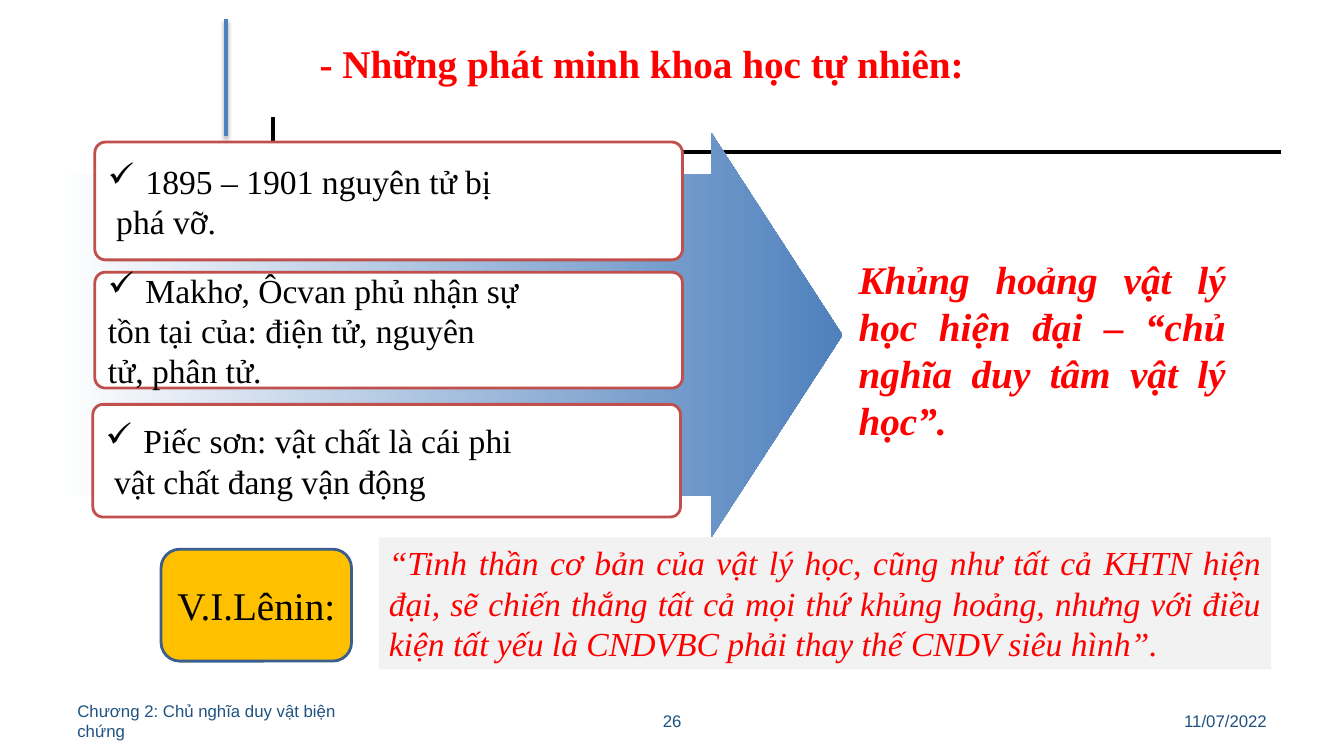
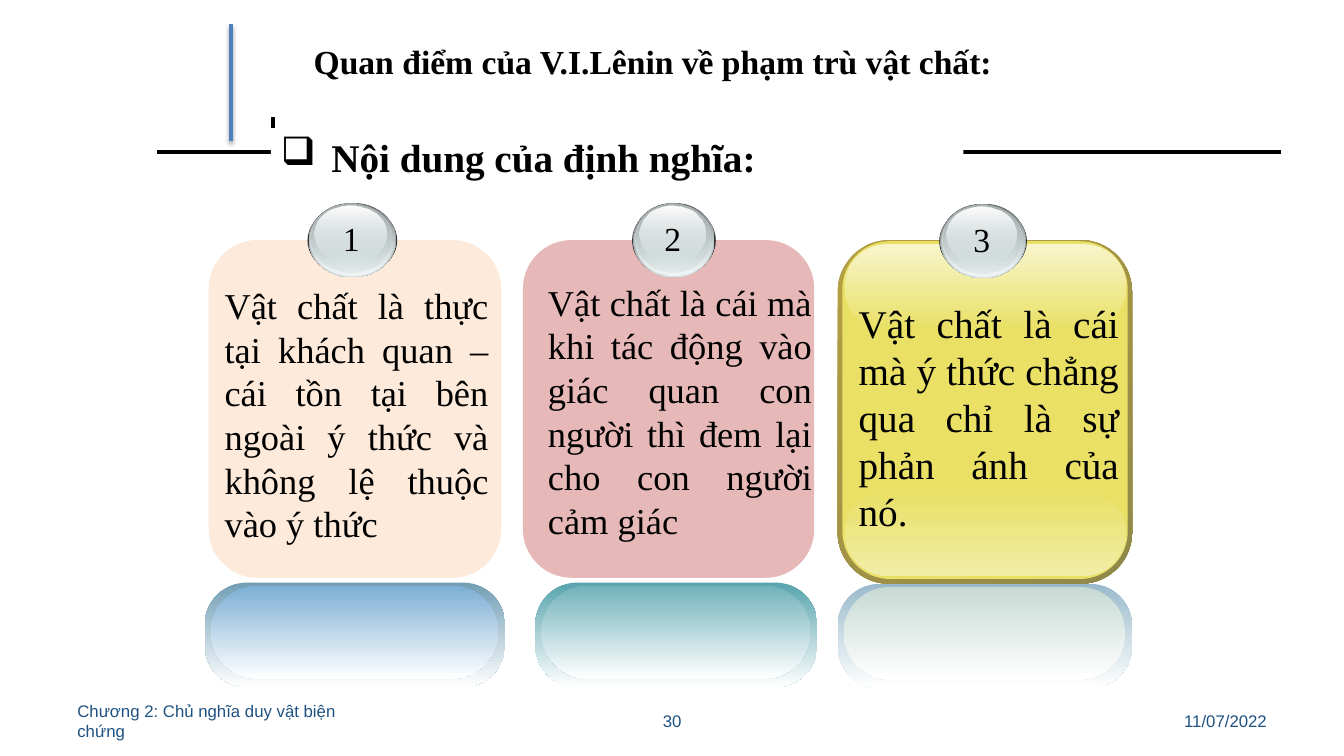
from dataclasses import dataclass
from typing import Any, Optional

from lxml.etree import SubElement
from pptx import Presentation
from pptx.dml.color import RGBColor
from pptx.enum.shapes import MSO_CONNECTOR, MSO_SHAPE
from pptx.enum.text import MSO_ANCHOR, MSO_AUTO_SIZE, PP_ALIGN
from pptx.oxml.ns import qn
from pptx.util import Cm, Pt

BLACK = RGBColor(0x00, 0x00, 0x00)
WHITE = RGBColor(0xFF, 0xFF, 0xFF)
RED = RGBColor(0xFF, 0x00, 0x00)
BLUE = RGBColor(0x4F, 0x81, 0xBD)
NAVY = RGBColor(0x3A, 0x5F, 0x8C)
FOOTER = RGBColor(0x1F, 0x52, 0x81)
BRICK = RGBColor(0xC0, 0x50, 0x4D)
AMBER = RGBColor(0xFF, 0xC0, 0x00)
LIGHT = RGBColor(0xF2, 0xF2, 0xF2)
PEACH = RGBColor(0xFD, 0xEA, 0xDA)
ROSE = RGBColor(0xE6, 0xB9, 0xB8)
YELLOW = RGBColor(0xE9, 0xE0, 0x65)
PALE_YELLOW = RGBColor(0xF2, 0xED, 0xA6)
CREAM = RGBColor(0xF8, 0xF5, 0xCC)
GOLD = RGBColor(0xB5, 0x9F, 0x43)
OLIVE = RGBColor(0x8F, 0x88, 0x49)
CHARCOAL = RGBColor(0x33, 0x33, 0x33)
STEEL = RGBColor(0x63, 0x68, 0x69)
SILVER = RGBColor(0xAA, 0xB2, 0xB3)
MIST = RGBColor(0xD6, 0xE1, 0xE2)
FROST = RGBColor(0xF1, 0xF5, 0xF5)
SERIF = "Times New Roman"
ROUND = MSO_SHAPE.ROUNDED_RECTANGLE


@dataclass(frozen=True)
class Box:
    x: float
    y: float
    w: float
    h: float

    def lengths(self) -> tuple:
        return Cm(self.x), Cm(self.y), Cm(self.w), Cm(self.h)


@dataclass(frozen=True)
class Gradient:
    start: RGBColor
    end: RGBColor
    angle: int = 90
    start_alpha: int = 100
    end_alpha: int = 100


@dataclass(frozen=True)
class Style:
    size: float
    color: RGBColor = BLACK
    bold: bool = False
    italic: bool = False
    align: PP_ALIGN = PP_ALIGN.JUSTIFY
    anchor: MSO_ANCHOR = MSO_ANCHOR.TOP
    font: str = SERIF
    bullet: str = ""
    indent: float = 0


@dataclass(frozen=True)
class OrbLayer:
    dx: float
    dy: float
    dw: float
    h: float
    fill: Any


@dataclass(frozen=True)
class Card:
    number: str
    text: str
    text_box: Box
    size: float
    body: Box
    fill: Any
    corner: float
    orb: Box
    shade: Box
    shade_outer: RGBColor
    shade_inner: RGBColor


ORB_LAYERS = [
    OrbLayer(0, 0.05, 0, 1.8, CHARCOAL),
    OrbLayer(0.03, 0, 0.06, 1.88, Gradient(STEEL, MIST)),
    OrbLayer(0.05, 0, 0.12, 1.83, Gradient(MIST, FROST, start_alpha=0)),
    OrbLayer(0.08, 0.03, 0.22, 1.73, Gradient(SILVER, MIST, end_alpha=48)),
    OrbLayer(0.18, 0.08, 0.45, 1.4, Gradient(WHITE, MIST, end_alpha=38)),
]

CARDS = [
    Card("1", "Vật chất là thực tại khách quan – cái tồn tại bên ngoài ý thức và "
         "không lệ thuộc vào ý thức", Box(5.41, 7.01, 7.16, 6.93), 26,
         Box(5.26, 6.05, 7.37, 8.51), PEACH, 0.167, Box(7.75, 5.11, 2.26, 1.88),
         Box(5.16, 14.68, 7.57, 2.64),
         RGBColor(0x72, 0x9E, 0xB4), RGBColor(0x7D, 0xAF, 0xD4)),
    Card("2", "Vật chất là cái mà khi tác động vào giác quan con người thì đem lại "
         "cho con người cảm giác", Box(13.56, 6.93, 7.16, 6.93), 26,
         Box(13.18, 6.05, 7.34, 8.51), ROSE, 0.167, Box(15.93, 5.11, 2.11, 1.88),
         Box(13.49, 14.68, 7.11, 2.64),
         RGBColor(0x58, 0xA4, 0xAE), RGBColor(0x72, 0xB2, 0xBB)),
    Card("3", "Vật chất là cái mà ý thức chẳng qua chỉ là sự phản ánh của nó.",
         Box(21.39, 7.42, 7.06, 6.25), 28, Box(21.11, 6.05, 7.42, 8.66),
         Gradient(GOLD, OLIVE, 45), 0.175, Box(23.67, 5.13, 2.21, 1.88),
         Box(21.11, 14.71, 7.42, 2.64),
         RGBColor(0x99, 0xBA, 0xCC), RGBColor(0xC8, 0xDA, 0xD4)),
]

DISCOVERIES = [
    (Box(2.39, 3.58, 14.81, 2.97), ["1895 – 1901 nguyên tử bị", " phá vỡ."]),
    (Box(2.39, 6.86, 14.81, 2.92),
     ["Makhơ, Ôcvan phủ nhận sự", "tồn tại của: điện tử, nguyên", "tử, phân tử."]),
    (Box(2.34, 10.19, 14.81, 2.84),
     ["Piếc sơn: vật chất là cái phi", " vật chất đang vận động"]),
]


def add_bullet(p: Any, char: str, indent: float) -> None:
    """Give a paragraph a hanging bullet."""
    pPr = p._p.get_or_add_pPr()
    pPr.set("marL", str(Cm(indent)))
    pPr.set("indent", str(-Cm(indent)))
    SubElement(pPr, qn("a:buChar")).set("char", char)


def write(sp: Any, lines: list[str], style: Style) -> None:
    """Fill a shape with styled paragraphs, the first one bulleted if asked."""
    tf = sp.text_frame
    tf.word_wrap = True
    tf.auto_size = MSO_AUTO_SIZE.NONE
    tf.vertical_anchor = style.anchor
    tf.text = "\n".join(lines)
    if style.bullet:
        add_bullet(tf.paragraphs[0], style.bullet, style.indent)
    for p in tf.paragraphs:
        p.alignment = style.align
        for r in p.runs:
            r.font.name = style.font
            r.font.size = Pt(style.size)
            r.font.bold = style.bold
            r.font.italic = style.italic
            r.font.color.rgb = style.color


def paint(sp: Any, fill: Any) -> None:
    """Apply a solid colour or a two-stop gradient."""
    if not isinstance(fill, Gradient):
        sp.fill.solid()
        sp.fill.fore_color.rgb = fill
        return
    sp.fill.gradient()
    sp.fill.gradient_angle = -fill.angle % 360
    for stop, color in zip(sp.fill.gradient_stops, (fill.start, fill.end)):
        stop.color.rgb = color
    colors = sp._element.spPr.iter(qn("a:srgbClr"))
    for clr, alpha in zip(list(colors), (fill.start_alpha, fill.end_alpha)):
        if alpha < 100:
            SubElement(clr, qn("a:alpha")).set("val", str(alpha * 1000))


def add_shape(s: Any, kind: MSO_SHAPE, box: Box, fill: Any,
              adj: tuple = (), line: Optional[RGBColor] = None) -> Any:
    """Draw a preset shape without shadow."""
    sp = s.shapes.add_shape(kind, *box.lengths())
    sp.shadow.inherit = False
    for i, value in enumerate(adj):
        sp.adjustments[i] = value
    paint(sp, fill)
    if line is None:
        sp.line.fill.background()
    else:
        sp.line.color.rgb = line
        sp.line.width = Pt(2)
    return sp


def add_text(s: Any, box: Box, text: str, style: Style) -> None:
    """Add a text box with one paragraph."""
    write(s.shapes.add_textbox(*box.lengths()), [text], style)


def add_line(s: Any, x1: float, y1: float, x2: float, y2: float,
             color: RGBColor, shadow: bool = False) -> None:
    """Draw a straight line, with a soft shadow if asked."""
    cn = s.shapes.add_connector(MSO_CONNECTOR.STRAIGHT, Cm(x1), Cm(y1), Cm(x2), Cm(y2))
    cn.line.color.rgb = color
    cn.line.width = Pt(3)
    effects = SubElement(cn._element.spPr, qn("a:effectLst"))
    if shadow:
        outer = SubElement(effects, qn("a:outerShdw"), blurRad=str(Pt(3.1)),
                           dist=str(Pt(1.8)), dir="5400000", rotWithShape="0")
        clr = SubElement(outer, qn("a:srgbClr"), val="000000")
        SubElement(clr, qn("a:alpha"), val="35000")


def start_slide(prs: Any, title: str, box: Box, style: Style, number: str,
                accent_x: float, accent_y: float) -> Any:
    """Add a slide with its title, rules and footer."""
    s = prs.slides.add_slide(prs.slide_layouts[5])
    sp = s.shapes.title
    sp.left, sp.top, sp.width, sp.height = box.lengths()
    write(sp, [title], style)
    add_line(s, 3.96, 3.84, 32.28, 3.84, BLACK)
    add_line(s, 6.88, 2.95, 6.88, 4.29, BLACK)
    add_line(s, accent_x, accent_y, accent_x, accent_y + 2.95, BLUE, shadow=True)
    for x, w, text, align in (
        (1.7, 7.9, "Chương 2: Chủ nghĩa duy vật biện chứng", PP_ALIGN.LEFT),
        (11.58, 10.72, number, PP_ALIGN.CENTER),
        (24.28, 7.9, "11/07/2022", PP_ALIGN.RIGHT),
    ):
        add_text(s, Box(x, 17.65, w, 1.02), text,
                 Style(12, FOOTER, align=align, anchor=MSO_ANCHOR.MIDDLE, font="Arial"))
    return s


def add_card(s: Any, card: Card) -> None:
    """Draw a numbered card with its reflection."""
    b, o, m = card.body, card.orb, card.shade
    add_shape(s, ROUND, b, card.fill, (card.corner,))
    if isinstance(card.fill, Gradient):
        add_shape(s, ROUND, Box(b.x + 0.12, b.y + 0.03, 7.19, 8.51), YELLOW, (0.167,))
        for dy, gloss in ((6.3, Gradient(YELLOW, PALE_YELLOW)),
                          (0.1, Gradient(CREAM, YELLOW))):
            add_shape(s, ROUND, Box(b.x + 0.18, b.y + dy, 7.09, 2.16), gloss, (0.5,))
    add_shape(s, ROUND, m, Gradient(card.shade_outer, WHITE), (0.404,))
    add_shape(s, ROUND, Box(m.x + 0.15, m.y + 0.08, m.w - 0.32, 2.34),
              Gradient(card.shade_inner, WHITE), (0.5,))
    for k in ORB_LAYERS:
        add_shape(s, MSO_SHAPE.OVAL, Box(o.x + k.dx, o.y + k.dy, o.w - k.dw, k.h), k.fill)
    add_text(s, Box(o.x - 0.03, o.y + 0.25, o.w, 1.27), card.number,
             Style(24, align=PP_ALIGN.CENTER))
    add_text(s, card.text_box, card.text, Style(card.size))


def build_discoveries(prs: Any) -> None:
    """Build the slide on discoveries in natural science."""
    s = start_slide(prs, "- Những phát minh khoa học tự nhiên:", Box(7.8, 0.86, 22, 1.45),
                    Style(28, RED, bold=True), "26", 5.69, 0.48)
    add_shape(s, MSO_SHAPE.RIGHT_ARROW, Box(1.37, 3.35, 19.86, 10.19),
              Gradient(WHITE, BLUE, 0), (0.793, 0.324))
    for box, lines in DISCOVERIES:
        sp = add_shape(s, ROUND, box, WHITE, (0.091,), BRICK)
        write(sp, lines, Style(24, anchor=MSO_ANCHOR.MIDDLE, bullet="✓", indent=0.95))
    add_text(s, Box(21.39, 6.3, 9.75, 4.11),
             "Khủng hoảng vật lý học hiện đại – “chủ nghĩa duy tâm vật lý học”.",
             Style(28, RED, bold=True, italic=True))
    quote = add_shape(s, MSO_SHAPE.RECTANGLE, Box(9.55, 13.54, 22.48, 3.33), LIGHT)
    write(quote, ["“Tinh thần cơ bản của vật lý học, cũng như tất cả KHTN hiện đại, sẽ "
                  "chiến thắng tất cả mọi thứ khủng hoảng, nhưng với điều kiện tất yếu "
                  "là CNDVBC phải thay thế CNDV siêu hình”."], Style(24, RED, italic=True))
    author = add_shape(s, ROUND, Box(4.06, 13.84, 4.8, 2.82), AMBER, line=NAVY)
    write(author, ["V.I.Lênin:"],
          Style(28, align=PP_ALIGN.CENTER, anchor=MSO_ANCHOR.MIDDLE))


def build_definition(prs: Any) -> None:
    """Build the slide on the definition of matter."""
    s = start_slide(prs, "Quan điểm của V.I.Lênin về phạm trù vật chất:",
                    Box(7.65, 0.91, 22, 1.3), Style(24, bold=True), "30", 5.82, 0.61)
    heading = add_shape(s, MSO_SHAPE.RECTANGLE, Box(6.83, 3.23, 17.45, 1.45), WHITE)
    write(heading, ["Nội dung của định nghĩa:"],
          Style(28, bold=True, bullet="❑", indent=1.27))
    for card in CARDS:
        add_card(s, card)


def main() -> None:
    """Build and save the presentation."""
    prs = Presentation()
    prs.slide_width, prs.slide_height = Cm(33.87), Cm(19.05)
    build_discoveries(prs)
    build_definition(prs)
    prs.save("out.pptx")


if __name__ == "__main__":
    main()
